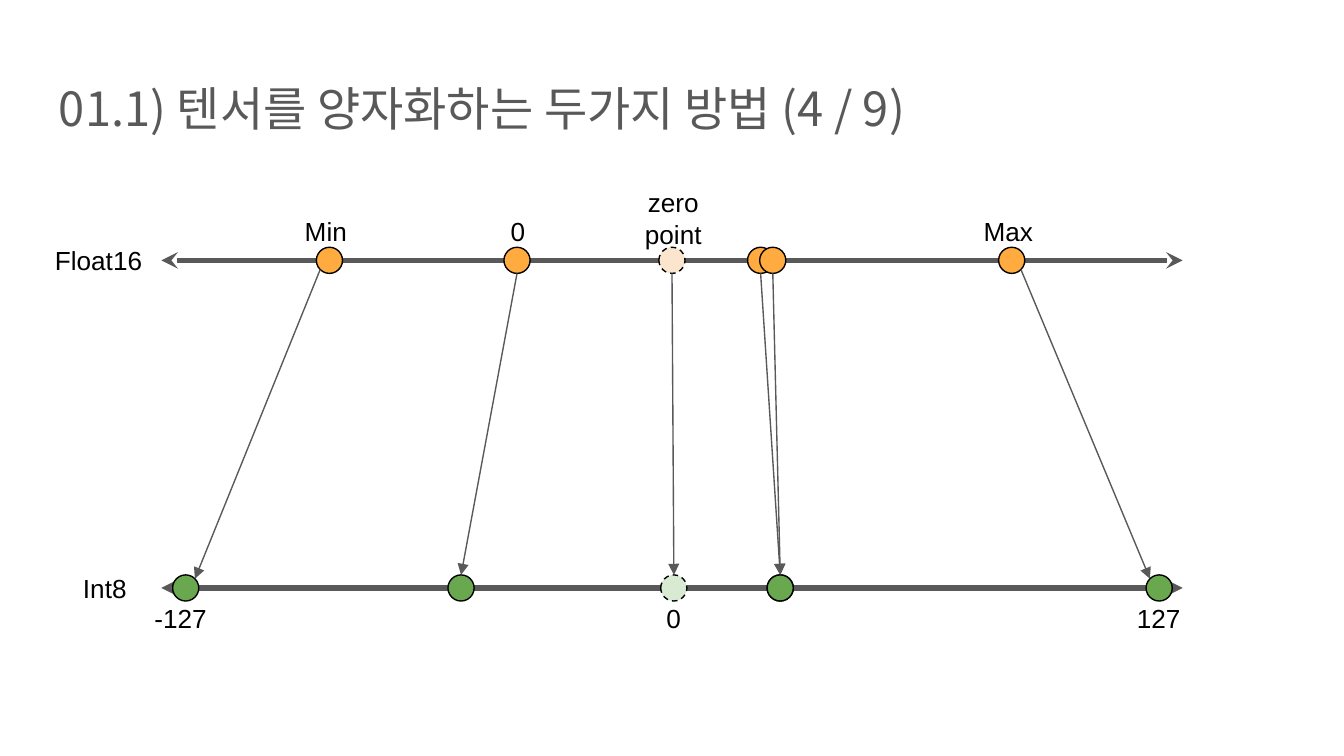
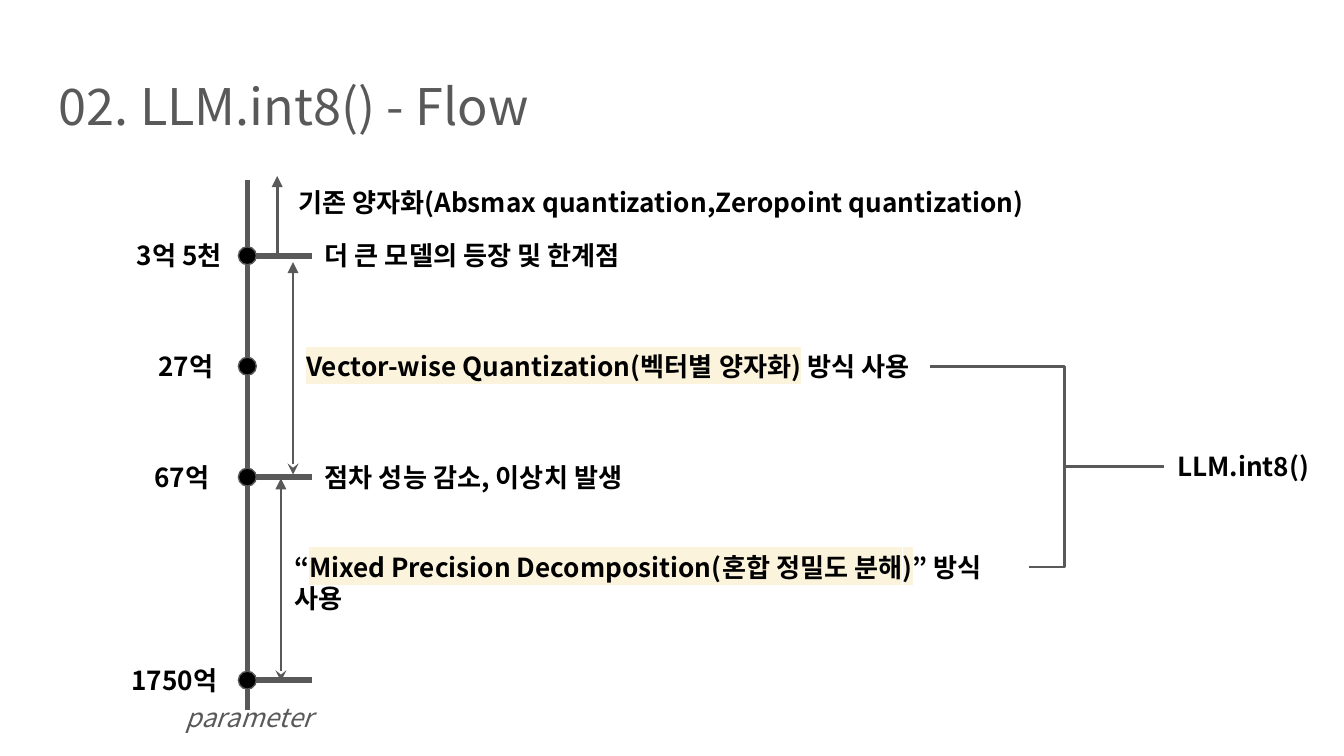
from dataclasses import dataclass
from math import sqrt

from lxml.etree import SubElement
from pptx import Presentation
from pptx.dml.color import RGBColor
from pptx.enum.dml import MSO_LINE
from pptx.enum.shapes import MSO_CONNECTOR, MSO_SHAPE
from pptx.enum.text import MSO_ANCHOR, PP_ALIGN
from pptx.oxml.ns import qn
from pptx.presentation import Presentation as Deck
from pptx.shapes.connector import Connector
from pptx.slide import Slide
from pptx.util import Pt

GRAY, BLACK, CREAM = "595959", "000000", "FBF3DB"
ORANGE, PALE_ORANGE = "FFAB40", "FCE5CD"
GREEN, PALE_GREEN = "6AA84F", "D9EAD3"
LATIN, KOREAN = "Arial", "Noto Sans CJK KR"
LABEL_HEIGHT = 31.7

FLOAT_Y, INT_Y = 139.5, 315
VALUE_DIAMETER = 14

TIMELINE_X, TICK_END = 132.5, 167
EVENT_DIAMETER = 9.6


@dataclass(frozen=True)
class Label:
    """Text in a box, with an optional highlighted part."""

    text: str
    left: float
    top: float
    width: float
    height: float = LABEL_HEIGHT
    font: str = KOREAN
    size: float = 14
    color: str = BLACK
    bold: bool = False
    italic: bool = False
    marked: str = ""
    align: PP_ALIGN = PP_ALIGN.LEFT
    spacing: float = 1.0


@dataclass(frozen=True)
class Mapping:
    """A float value and the integer it is quantized to."""

    float_x: float
    int_x: float
    lean: int = 0
    zero_point: bool = False


@dataclass(frozen=True)
class Event:
    """A model size on the timeline, with what happens there."""

    size: str
    y: float
    left: float
    width: float
    tick: bool = True
    note: str = ""
    note_width: float = 0


@dataclass(frozen=True)
class Span:
    """A vertical arrow that marks a range of model sizes."""

    x: float
    bottom: float
    top: float
    head: str = "stealth"


MAPPINGS = [
    Mapping(360, 361, zero_point=True),
    Mapping(407.5, 418),
    Mapping(542, 621, lean=1),
    Mapping(277, 247),
    Mapping(414, 418),
    Mapping(176.5, 99.5, lean=-1),
]
VALUE_LABELS = [
    Label("Min", 156.2, 108, 40.3, font=LATIN),
    Label("0", 266.4, 108, 22.3, font=LATIN),
    Label("Max", 519.8, 108, 44.6, font=LATIN),
    Label("-127", 75.6, 315.4, 44.6, font=LATIN),
    Label("0", 349.9, 315.4, 22.3, font=LATIN),
    Label("127", 602, 315.4, 38.2, font=LATIN),
    Label("Float16", 22.3, 123.8, 64.1, font=LATIN),
    Label("Int8", 37.4, 299.5, 38.2, font=LATIN),
    Label("zero\npoint", 331.2, 92.9, 59, 48.2, font=LATIN, align=PP_ALIGN.CENTER),
]
EVENTS = [
    Event("3억 5천", 137, 66.2, 74.2, note="더 큰 모델의 등장 및 한계점", note_width=214.6),
    Event("27억", 196.2, 77.8, 51.8, tick=False),
    Event("67억", 255.6, 75.6, 51.8, note="점차 성능 감소, 이상치 발생", note_width=197.3),
    Event("1750억", 364.4, 63.4, 74.2),
]
SPANS = [
    Span(148.5, 137, 94.3, head="none"),
    Span(157, 254.2, 140.4),
    Span(150.5, 365, 256.3),
]
METHODS = [
    Label("기존 양자화(Absmax quantization,Zeropoint quantization)",
          152.6, 92.9, 442.1, bold=True),
    Label("Vector-wise Quantization(벡터별 양자화) 방식 사용", 157, 180.7, 341.3,
          bold=True, marked="Vector-wise Quantization(벡터별 양자화)"),
    Label("“Mixed Precision Decomposition(혼합 정밀도 분해)” 방식 사용", 150.5, 288, 401,
          bold=True, marked="Mixed Precision Decomposition(혼합 정밀도 분해)"),
    Label("LLM.int8()", 623.5, 234, 91.4, bold=True),
    Label("parameter", 92.2, 368.6, 87.8, color=GRAY, italic=True),
]


def rgb(value: str) -> RGBColor:
    """Turn a hex string into a colour."""
    return RGBColor.from_string(value)


def add_label(slide: Slide, label: Label) -> None:
    """Draw one label with its fonts and highlight."""
    box = slide.shapes.add_textbox(
        Pt(label.left), Pt(label.top), Pt(label.width), Pt(label.height))
    frame = box.text_frame
    frame.word_wrap = True
    frame.vertical_anchor = MSO_ANCHOR.TOP
    frame.margin_left = frame.margin_right = Pt(7.2)
    frame.margin_top = frame.margin_bottom = Pt(7.2)
    if label.marked:
        for part in label.text.partition(label.marked):
            if part:
                frame.paragraphs[0].add_run().text = part
    else:
        frame.text = label.text
    for paragraph in frame.paragraphs:
        paragraph.alignment = label.align
        paragraph.line_spacing = label.spacing
        for run in paragraph.runs:
            font = run.font
            font.size = Pt(label.size)
            font.bold, font.italic = label.bold, label.italic
            font.color.rgb = rgb(label.color)
            if label.marked and run.text == label.marked:
                highlight = SubElement(font.fill._xPr, qn("a:highlight"))
                SubElement(highlight, qn("a:srgbClr"), val=CREAM)
            font.name = label.font
            properties = run._r.get_or_add_rPr()
            SubElement(properties, qn("a:ea"), typeface=label.font)


def add_line(slide: Slide, start: tuple[float, float], end: tuple[float, float],
             width: float, head: str = "none", tail: str = "none",
             kind: MSO_CONNECTOR = MSO_CONNECTOR.STRAIGHT) -> Connector:
    """Draw a gray line with optional arrowheads."""
    line = slide.shapes.add_connector(kind, *map(Pt, start + end))
    line.line.width = Pt(width)
    line.line.color.rgb = rgb(GRAY)
    properties = line.element.spPr
    outline = properties.find(qn("a:ln"))
    SubElement(outline, qn("a:headEnd"), type=head)
    SubElement(outline, qn("a:tailEnd"), type=tail)
    SubElement(properties, qn("a:effectLst"))
    return line


def add_dot(slide: Slide, x: float, y: float, diameter: float, fill: str,
            outline: str = BLACK, dashed: bool = False) -> None:
    """Draw a circle around a centre."""
    radius = diameter / 2
    dot = slide.shapes.add_shape(
        MSO_SHAPE.OVAL, Pt(x - radius), Pt(y - radius), Pt(diameter), Pt(diameter))
    dot.shadow.inherit = False
    dot.fill.solid()
    dot.fill.fore_color.rgb = rgb(fill)
    dot.line.color.rgb = rgb(outline)
    dot.line.width = Pt(0.75)
    if dashed:
        dot.line.dash_style = MSO_LINE.DASH


def add_titled_slide(deck: Deck, title: str, size: float, spacing: float = 1.0) -> Slide:
    """Add a blank slide with the shared title style."""
    slide = deck.slides.add_slide(deck.slide_layouts[6])
    add_label(slide, Label(title, 24.5, 35.3, 671, 45.4, size=size,
                           color=GRAY, spacing=spacing))
    return slide


def add_mapping(slide: Slide, mapping: Mapping) -> None:
    """Draw a float value, its integer and the arrow between them."""
    orange, green = (PALE_ORANGE, PALE_GREEN) if mapping.zero_point else (ORANGE, GREEN)
    add_dot(slide, mapping.float_x, FLOAT_Y, VALUE_DIAMETER, orange,
            dashed=mapping.zero_point)
    add_dot(slide, mapping.int_x, INT_Y, VALUE_DIAMETER, green,
            dashed=mapping.zero_point)
    radius = VALUE_DIAMETER / 2
    drop = radius / sqrt(2) if mapping.lean else radius
    shift = mapping.lean * drop
    add_line(slide, (mapping.float_x + shift, FLOAT_Y + drop),
             (mapping.int_x - shift, INT_Y - drop), 0.75, tail="triangle")


def add_event(slide: Slide, event: Event) -> None:
    """Draw a model size on the timeline."""
    top = event.y - LABEL_HEIGHT / 2
    add_label(slide, Label(event.size, event.left, top, event.width, bold=True))
    add_dot(slide, TIMELINE_X, event.y, EVENT_DIAMETER, BLACK, outline=GRAY)
    if event.tick:
        add_line(slide, (TIMELINE_X + EVENT_DIAMETER / 2, event.y),
                 (TICK_END, event.y), 3)
    if event.note:
        add_label(slide, Label(event.note, TICK_END, top, event.note_width, bold=True))


def build_quantization(deck: Deck) -> None:
    """Build the slide that maps Float16 to Int8."""
    slide = add_titled_slide(deck, "01.1) 텐서를 양자화하는 두가지 방법 (4 / 9)", 25.2)
    for y in (FLOAT_Y, INT_Y):
        add_line(slide, (86.4, y), (633.6, y), 3, head="stealth", tail="stealth")
    for mapping in MAPPINGS:
        add_mapping(slide, mapping)
    for label in VALUE_LABELS:
        add_label(slide, label)


def build_flow(deck: Deck) -> None:
    """Build the timeline of methods by model size."""
    slide = add_titled_slide(deck, "02. LLM.int8() - Flow", 27, 0.95)
    add_line(slide, (TIMELINE_X, 96.5), (TIMELINE_X, 380.2), 3)
    for event in EVENTS:
        add_event(slide, event)
    for span in SPANS:
        add_line(slide, (span.x, span.bottom), (span.x, span.top), 1.5,
                 head=span.head, tail="triangle")
    bracket = add_line(slide, (498.3, 196.5), (551.5, 303.8), 1.5,
                       kind=MSO_CONNECTOR.ELBOW)
    guides = bracket.element.spPr.find(qn("a:prstGeom")).get_or_add_avLst()
    SubElement(guides, qn("a:gd"), name="adj1", fmla="val 135100")
    add_line(slide, (623.5, 250), (570.2, 250), 1.5)
    for method in METHODS:
        add_label(slide, method)


def main() -> None:
    """Build and save the deck."""
    deck = Presentation()
    deck.slide_width, deck.slide_height = Pt(720), Pt(405)
    build_quantization(deck)
    build_flow(deck)
    deck.save("out.pptx")


if __name__ == "__main__":
    main()
